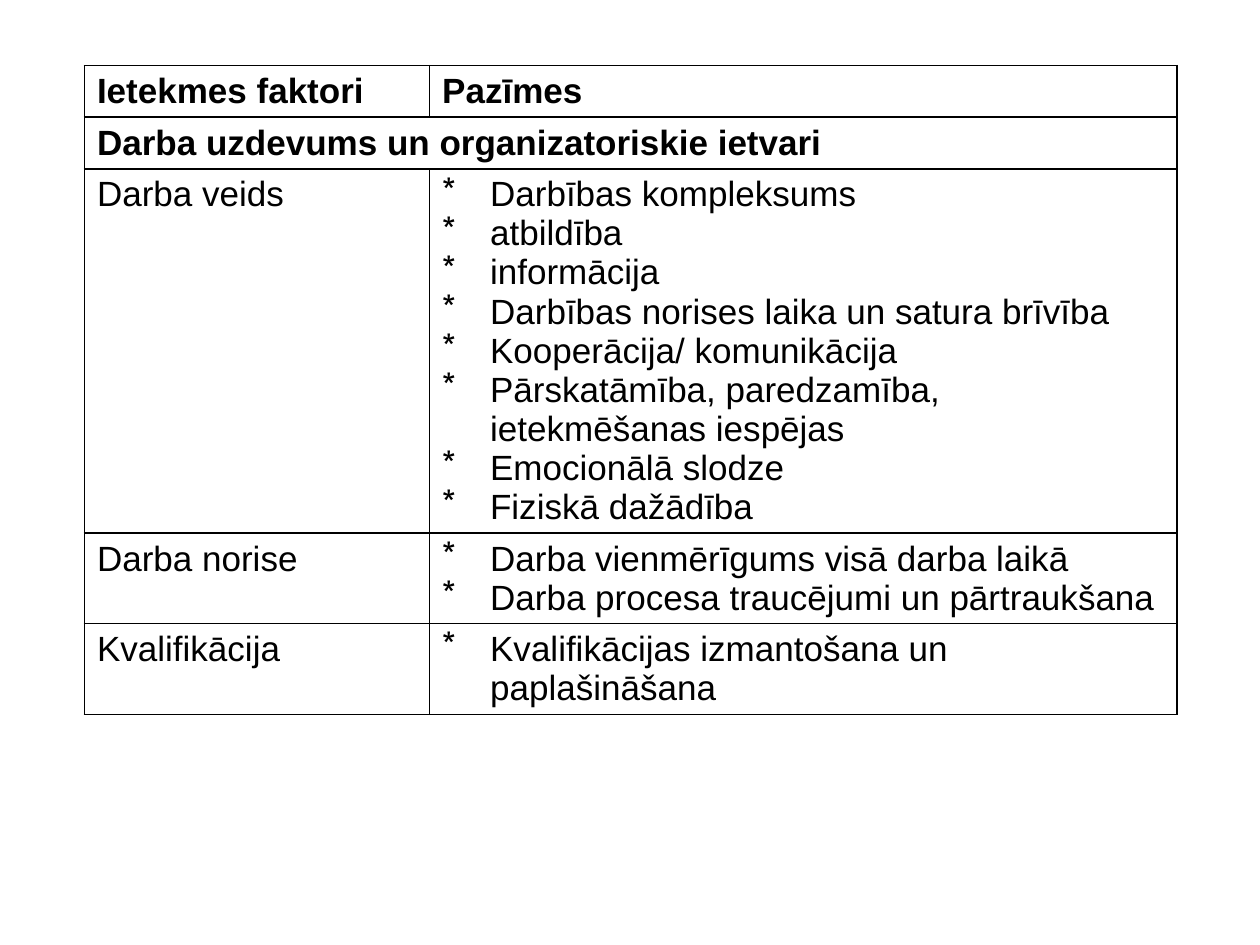
from lxml import etree
from pptx import Presentation
from pptx import util as u
from pptx.dml.color import RGBColor
from pptx.oxml.ns import qn


def color(value):
    return RGBColor.from_string(value)


class Deck:
    """Holds the style and the current slide."""

    font, size, ink, line = "Arial", u.Pt(20), "000000", u.Pt(1)
    indent = u.Inches(0.38)

    def __init__(self, prs):
        self.s = prs.slides.add_slide(prs.slide_layouts[6])

    def paragraph(self, p, content, bold, bullet):
        r = p.add_run()
        r.text = content
        f = p.font
        f.name, f.size, f.bold = self.font, self.size, bold
        f.color.rgb = color(self.ink)
        pPr = p._p.get_or_add_pPr()
        pPr.set("marL", str(self.indent))
        pPr.set("indent", str(-self.indent))
        if bullet:
            bu = etree.Element(qn("a:buChar"), char=bullet)
            pPr.insert(0, bu)

    def borders(self, cell):
        tcPr = cell._tc.get_or_add_tcPr()
        for side in ("lnL", "lnR", "lnT", "lnB"):
            ln = etree.SubElement(tcPr, qn("a:" + side), w=str(self.line))
            fill = etree.SubElement(ln, qn("a:solidFill"))
            etree.SubElement(fill, qn("a:srgbClr"), val=self.ink)

    def cell(self, cell, lines, bold=False, bullet=None):
        self.borders(cell)
        cell.fill.background()
        tf = cell.text_frame
        for i, content in enumerate(lines):
            p = tf.add_paragraph() if i else tf.paragraphs[0]
            self.paragraph(p, content, bold, bullet)

    def table(self, left, top, widths, heights):
        sp = self.s.shapes.add_table(
            len(heights), len(widths), u.Inches(left), u.Inches(top),
            u.Inches(sum(widths)), u.Inches(sum(heights)))
        tbl = sp.table
        tbl.horz_banding = tbl.first_row = False
        for col, width in zip(tbl.columns, widths):
            col.width = u.Inches(width)
        for row, height in zip(tbl.rows, heights):
            row.height = u.Inches(height)
        return tbl


HEADINGS = ["Ietekmes faktori", "Pazīmes"]
SECTION = "Darba uzdevums un organizatoriskie ietvari"
FACTORS = {
    "Darba veids": [
        "Darbības kompleksums",
        "atbildība",
        "informācija",
        "Darbības norises laika un satura brīvība",
        "Kooperācija/ komunikācija",
        "Pārskatāmība, paredzamība, ietekmēšanas iespējas",
        "Emocionālā slodze",
        "Fiziskā dažādība",
    ],
    "Darba norise": [
        "Darba vienmērīgums visā darba laikā",
        "Darba procesa traucējumi un pārtraukšana",
    ],
    "Kvalifikācija": ["Kvalifikācijas izmantošana un paplašināšana"],
}

prs = Presentation()
prs.slide_width, prs.slide_height = u.Inches(10), u.Inches(7.5)
deck = Deck(prs)
tbl = deck.table(0.67, 0.52, [2.74, 5.93], [0.41, 0.41, 2.89, 0.72, 0.72])
for col, heading in enumerate(HEADINGS):
    deck.cell(tbl.cell(0, col), [heading], bold=True)
tbl.cell(1, 0).merge(tbl.cell(1, 1))
deck.cell(tbl.cell(1, 0), [SECTION], bold=True)
deck.borders(tbl.cell(1, 1))
for row, (factor, features) in enumerate(FACTORS.items(), start=2):
    deck.cell(tbl.cell(row, 0), [factor])
    deck.cell(tbl.cell(row, 1), features, bullet="*")
prs.save("out.pptx")
